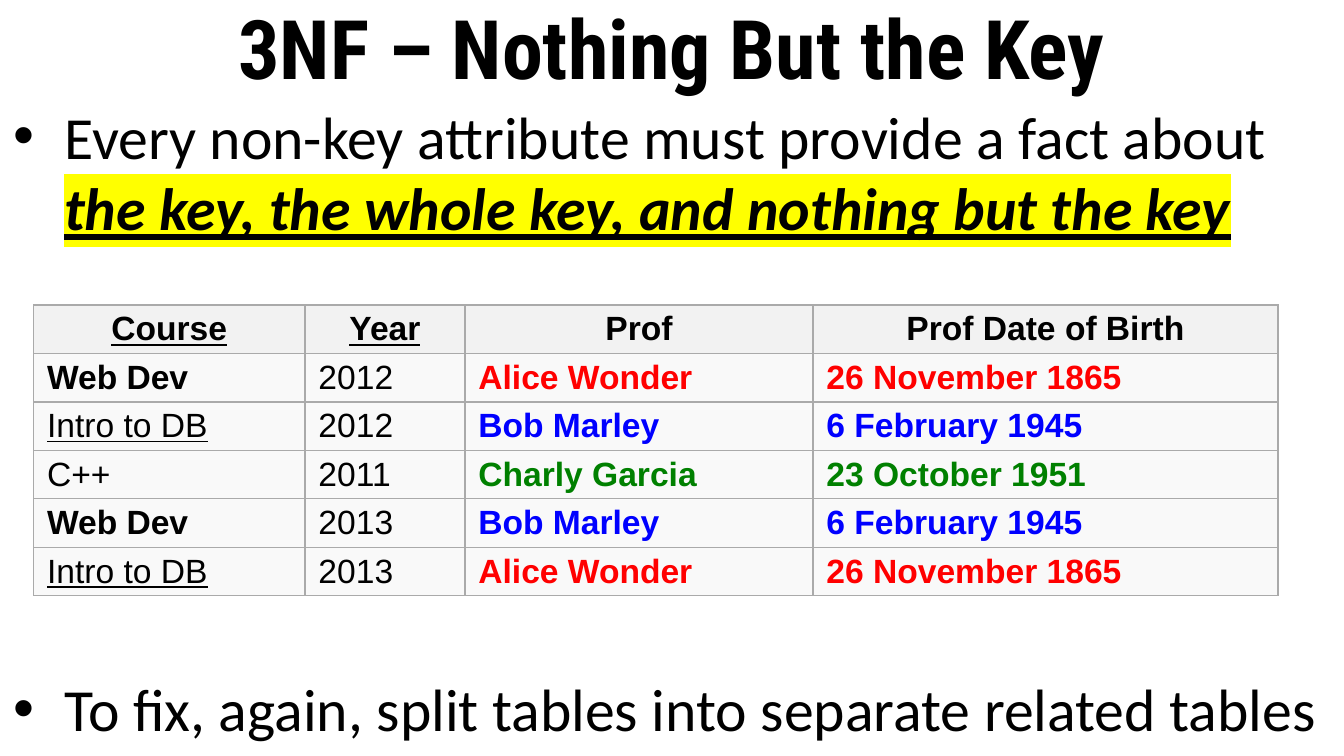
from lxml.etree import SubElement
from pptx import Presentation
from pptx.dml.color import RGBColor
from pptx.enum.text import MSO_ANCHOR, MSO_AUTO_SIZE, PP_ALIGN
from pptx.oxml.ns import qn
from pptx.util import Inches, Pt

COLORS = {
    "text": "000000", "highlight": "FFFF00", "border": "AAAAAA",
    "header": "F2F2F2", "body": "F9F9F9",
    "alice": "FF0000", "bob": "0000FF", "charly": "008000",
}
TITLE = "3NF – Nothing But the Key"
BULLETS = [
    (0, [("Every non-key attribute must provide a fact about ", False),
         ("the key, the whole key, and nothing but the key", True)]),
    (230, [("To fix, again, split tables into separate related tables", False)]),
]
HEADERS = [("Course", True), ("Year", True), ("Prof", False), ("Prof Date of Birth", False)]
COURSES = {
    "Web Dev": {"bold": True},
    "Intro to DB": {"underline": True},
    "C++": {},
}
PROFS = {
    "alice": ("Alice Wonder", "26 November 1865"),
    "bob": ("Bob Marley", "6 February 1945"),
    "charly": ("Charly Garcia", "23 October 1951"),
}
CLASSES = [
    ("Web Dev", "2012", "alice"),
    ("Intro to DB", "2012", "bob"),
    ("C++", "2011", "charly"),
    ("Web Dev", "2013", "bob"),
    ("Intro to DB", "2013", "alice"),
]
WIDTH = 10
HEIGHT = WIDTH * 9 / 16
TITLE_HEIGHT = 0.69
TABLE_LEFT, TABLE_TOP, ROW_HEIGHT = 0.25, 2.27, 0.35
COLUMNS = [2.02, 1.19, 2.59, 3.46]


def add_run(p, text, font, size, color="text", bold=False, italic=False, underline=False):
    r = p.add_run()
    r.text = text
    r.font.name, r.font.size = font, Pt(size)
    r.font.bold, r.font.italic, r.font.underline = bold, italic, underline
    r.font.color.rgb = RGBColor.from_string(COLORS[color])
    return r


def add_highlight(r):
    rPr = r.font._element
    highlight = SubElement(rPr, qn("a:highlight"))
    SubElement(highlight, qn("a:srgbClr"), val=COLORS["highlight"])
    rPr.find(qn("a:solidFill")).addnext(highlight)


def add_bullet(p):
    pPr = p._p.get_or_add_pPr()
    indent = Inches(0.38)
    pPr.set("marL", str(indent))
    pPr.set("indent", str(-indent))
    color = SubElement(pPr, qn("a:buClr"))
    SubElement(color, qn("a:srgbClr"), val=COLORS["text"])
    SubElement(pPr, qn("a:buFont"), typeface="Arial")
    SubElement(pPr, qn("a:buChar"), char="•")


def fill_cell(cell, text, fill, align=PP_ALIGN.LEFT, **style):
    tcPr = cell._tc.get_or_add_tcPr()
    for side in ("a:lnL", "a:lnR", "a:lnT", "a:lnB"):
        line = SubElement(tcPr, qn(side), w=str(Pt(0.75)))
        SubElement(SubElement(line, qn("a:solidFill")), qn("a:srgbClr"), val=COLORS["border"])
    cell.fill.solid()
    cell.fill.fore_color.rgb = RGBColor.from_string(COLORS[fill])
    cell.vertical_anchor = MSO_ANCHOR.MIDDLE
    cell.margin_left = cell.margin_right = Inches(0.1)
    cell.margin_top = cell.margin_bottom = Inches(0.03)
    p = cell.text_frame.paragraphs[0]
    p.alignment = align
    add_run(p, text, "Arial", 18, **style)


def add_title(s):
    sp = s.shapes.title
    sp.left, sp.top = 0, 0
    sp.width, sp.height = Inches(WIDTH), Inches(TITLE_HEIGHT)
    tf = sp.text_frame
    tf.auto_size = MSO_AUTO_SIZE.NONE
    tf.vertical_anchor = MSO_ANCHOR.MIDDLE
    p = tf.paragraphs[0]
    p.alignment = PP_ALIGN.CENTER
    add_run(p, TITLE, "Roboto Condensed", 44, bold=True)


def add_bullets(s):
    sp = s.shapes.add_textbox(0, Inches(TITLE_HEIGHT), Inches(WIDTH), Inches(HEIGHT - TITLE_HEIGHT))
    tf = sp.text_frame
    tf.word_wrap = True
    for i, (space, runs) in enumerate(BULLETS):
        p = tf.add_paragraph() if i else tf.paragraphs[0]
        add_bullet(p)
        p.space_before = Pt(space)
        for text, strong in runs:
            r = add_run(p, text, "Calibri", 32, bold=strong, italic=strong, underline=strong)
            if strong:
                add_highlight(r)


def add_class_table(s):
    rows = len(CLASSES) + 1
    table = s.shapes.add_table(
        rows, len(COLUMNS), Inches(TABLE_LEFT), Inches(TABLE_TOP),
        Inches(sum(COLUMNS)), Inches(ROW_HEIGHT * rows)).table
    table.horz_banding = False
    for column, width in zip(table.columns, COLUMNS):
        column.width = Inches(width)
    for row in table.rows:
        row.height = Inches(ROW_HEIGHT)
    for col, (text, key) in enumerate(HEADERS):
        fill_cell(table.cell(0, col), text, "header", PP_ALIGN.CENTER, bold=True, underline=key)
    for row, (course, year, prof) in enumerate(CLASSES, 1):
        name, birth = PROFS[prof]
        prof_style = {"color": prof, "bold": True}
        values = [(course, COURSES[course]), (year, {}), (name, prof_style), (birth, prof_style)]
        for col, (text, style) in enumerate(values):
            fill_cell(table.cell(row, col), text, "body", **style)


prs = Presentation()
prs.slide_width, prs.slide_height = Inches(WIDTH), Inches(HEIGHT)
s = prs.slides.add_slide(prs.slide_layouts[5])
add_title(s)
add_bullets(s)
add_class_table(s)
prs.save("out.pptx")
